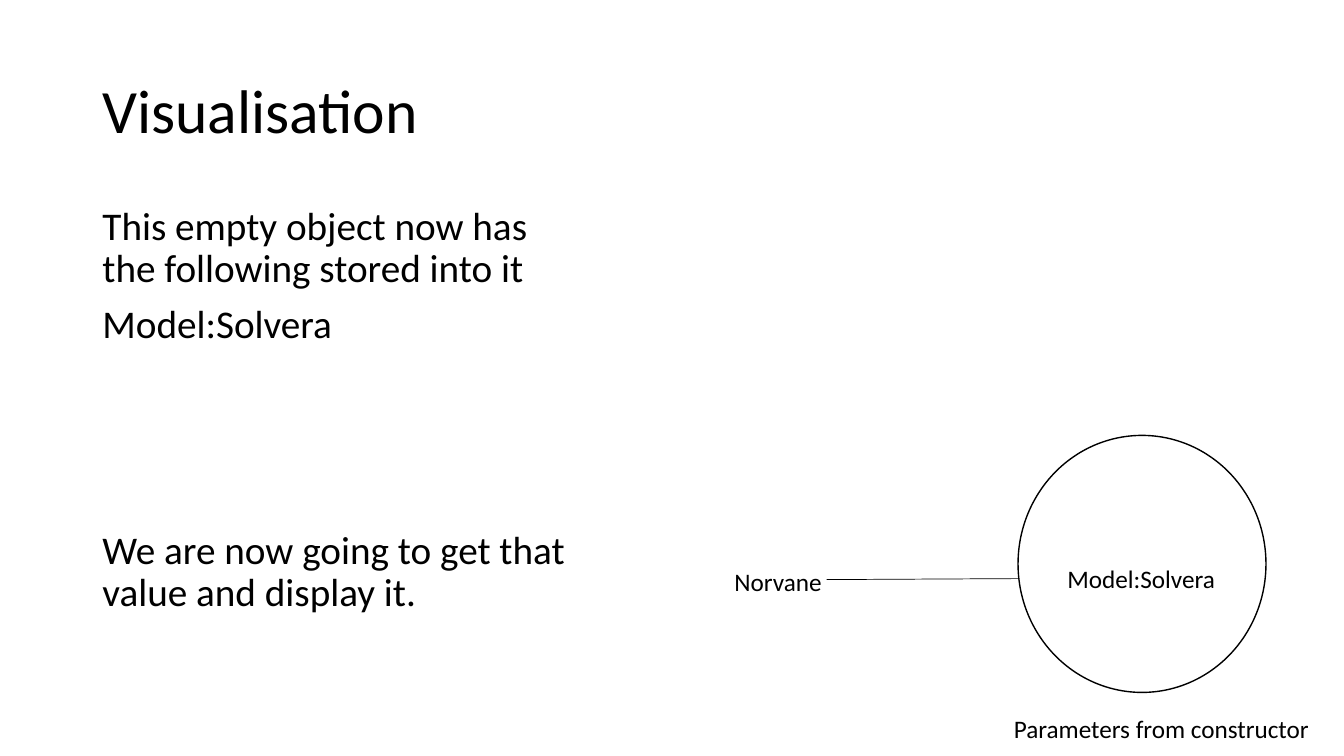
from dataclasses import dataclass

from lxml import etree
from pptx import Presentation
from pptx import util as u
from pptx.dml import color
from pptx.enum import shapes, text
from pptx.oxml import ns


@dataclass(frozen=True)
class Theme:
    font: str = "Calibri"
    ink: color.RGBColor = color.RGBColor(0, 0, 0)
    title: int = 44
    body: int = 28
    label: int = 18


theme = Theme()


def place(box, left, top, width, height):
    box.left, box.top = u.Pt(left), u.Pt(top)
    box.width, box.height = u.Pt(width), u.Pt(height)


def style(para, size, align):
    para.alignment = align
    para.font.name = theme.font
    para.font.size = u.Pt(size)
    para.font.color.rgb = theme.ink


deck = Presentation()
deck.slide_width, deck.slide_height = u.Pt(960), u.Pt(540)
page = deck.slides.add_slide(deck.slide_layouts[1])

title = page.shapes.title
place(title, 66, 28.75, 828, 104.4)
title.text_frame.text = "Visualisation"
title.text_frame.vertical_anchor = text.MSO_ANCHOR.MIDDLE
heading = title.text_frame.paragraphs[0]
heading.line_spacing = 0.9
style(heading, theme.title, text.PP_ALIGN.LEFT)

body = page.placeholders[1]
place(body, 66, 143.75, 353, 342.6)
body.text_frame.auto_size = text.MSO_AUTO_SIZE.NONE
steps = [
    ("This empty object now has the following stored into it", 10),
    ("Model:Solvera", 10),
    ("We are now going to get that value and display it.", 131),
]
body.text_frame.text = "\n".join(words for words, gap in steps)
for para, (words, gap) in zip(body.text_frame.paragraphs, steps):
    para.line_spacing = 0.9
    para.space_before = u.Pt(gap)
    props = para._p.get_or_add_pPr()
    props.set("marL", "0")
    props.set("indent", "0")
    etree.SubElement(props, ns.qn("a:buNone"))
    style(para, theme.body, text.PP_ALIGN.LEFT)

circle = page.shapes.add_shape(
    shapes.MSO_SHAPE.OVAL, u.Pt(727.2), u.Pt(311), u.Pt(177.1), u.Pt(183.6)
)
circle.shadow.inherit = False
circle.fill.background()
circle.line.color.rgb = theme.ink
circle.line.width = u.Pt(1)

link = page.shapes.add_connector(
    shapes.MSO_CONNECTOR.STRAIGHT, u.Pt(727.2), u.Pt(413.3), u.Pt(590.4), u.Pt(414)
)
link.line.color.rgb = theme.ink
link.line.width = u.Pt(0.5)
etree.SubElement(link._element.spPr, ns.qn("a:effectLst"))

labels = [
    ("Norvane", 451.4, 355.7, 208.8, 118.8, True, text.PP_ALIGN.CENTER),
    ("Parameters from constructor", 717.1, 506.2, 227.5, 29, False, text.PP_ALIGN.LEFT),
    ("Model:Solvera", 755.3, 398.9, 121.7, 29, False, text.PP_ALIGN.LEFT),
]
for words, left, top, width, height, wrap, align in labels:
    box = page.shapes.add_textbox(0, 0, 0, 0)
    place(box, left, top, width, height)
    frame = box.text_frame
    frame.text = words
    frame.word_wrap = wrap
    frame.vertical_anchor = text.MSO_ANCHOR.MIDDLE if wrap else text.MSO_ANCHOR.TOP
    frame.auto_size = text.MSO_AUTO_SIZE.NONE if wrap else text.MSO_AUTO_SIZE.SHAPE_TO_FIT_TEXT
    style(frame.paragraphs[0], theme.label, align)

deck.save("out.pptx")
